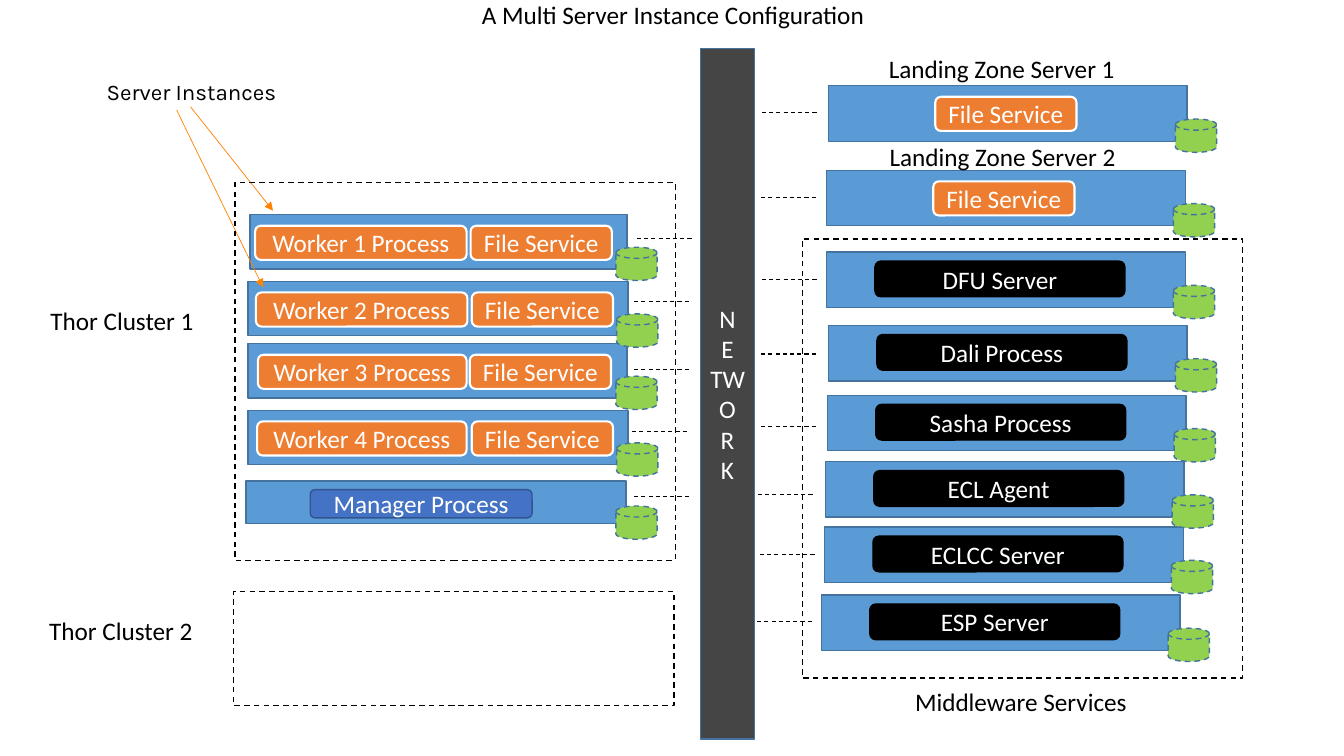
from lxml import etree
from pptx import Presentation
from pptx import util as u
from pptx.dml.color import RGBColor
from pptx.enum import dml, shapes, text
from pptx.oxml.ns import qn

COLOURS = {
    "black": "000000", "white": "FFFFFF", "host": "5B9BD5", "edge": "43739E",
    "service": "ED7D31", "manager": "4472C4", "manager_edge": "325491",
    "network": "454545", "disk": "92D050", "arrow": "FF8200",
}
HOST_WIDTH, HOST_HEIGHT, WORKER_HEIGHT = 9.04, 1.4, 1.37
SERVICE_WIDTH, SERVICE_HEIGHT, SERVICE_DROP = 3.56, 0.86, 0.28
LINK_LENGTH = 1.4

WORKERS = [
    (1, 6.3, 5.41, 9.5, 6.43, 5.33, 11.86, 15.52, 16.05, 6.02),
    (2, 6.25, 7.09, 9.58, 6.45, 5.33, 11.89, 15.54, 15.98, 7.59),
    (3, 6.25, 8.66, 9.55, 6.5, 5.26, 11.84, 15.52, 15.98, 9.32),
    (4, 6.25, 10.34, 9.58, 6.48, 5.28, 11.89, 15.54, 15.93, 10.87),
]
SERVERS = [
    ("File Service", 20.88, 2.16, 19.2, 2.84),
    ("File Service", 20.83, 4.29, 19.18, 4.98),
    ("DFU Server", 20.83, 6.35, 19.2, 7.04),
    ("Dali Process", 20.88, 8.2, 19.18, 8.92),
    ("Sasha Process", 20.85, 9.96, 19.18, 10.74),
    ("ECL Agent", 20.8, 11.63, 19.1, 12.45),
    ("ECLCC Server", 20.78, 13.28, 19.15, 13.97),
    ("ESP Server", 20.7, 14.99, 19.08, 15.65),
]
CAPTIONS = [
    ("Landing Zone Server 1", 22.15, 1.22, 6.27),
    ("Landing Zone Server 2", 22.17, 3.43, 6.27),
    ("Middleware Services", 22.81, 17.17, 5.92),
    ("Thor Cluster 1", 1.02, 7.57, 4.17),
    ("Thor Cluster 2", 0.99, 15.37, 4.17),
]
GROUPS = [
    (5.92, 4.6, 11.1, 9.52),
    (20.22, 6.02, 11.1, 11.07),
    (5.89, 14.91, 11.1, 2.87),
]
ARROWS = [(4.8, 2.69, 6.88, 5.31), (4.45, 2.77, 6.63, 7.24)]


def colour(name):
    return RGBColor.from_string(COLOURS[name])


def write(frame, words, size=18, font="Calibri", ink="black", align=text.PP_ALIGN.LEFT):
    frame.text = words
    for para in frame.paragraphs:
        para.alignment = align
        for span in para.runs:
            span.font.size = u.Pt(size)
            span.font.name = font
            span.font.color.rgb = colour(ink)


class Diagram:
    def __init__(self, deck):
        self.page = deck.slides.add_slide(deck.slide_layouts[5])

    def title(self, words, left, top, width, height):
        box = self.page.shapes.title
        box.left, box.top, box.width, box.height = map(u.Cm, (left, top, width, height))
        frame = box.text_frame
        write(frame, words)
        frame.word_wrap = False
        frame.auto_size = text.MSO_AUTO_SIZE.NONE
        frame.vertical_anchor = text.MSO_ANCHOR.TOP

    def caption(self, words, left, top, width, height=1.02, inset=None, **style):
        box = self.page.shapes.add_textbox(*map(u.Cm, (left, top, width, height)))
        frame = box.text_frame
        frame.word_wrap = False
        if inset is not None:
            frame.margin_left = frame.margin_right = u.Cm(inset)
            frame.margin_top = frame.margin_bottom = u.Cm(inset)
        write(frame, words, **style)

    def shape(self, kind, left, top, width, height, fill=None, line="edge",
              weight=1, dashed=False, words=""):
        box = self.page.shapes.add_shape(kind, *map(u.Cm, (left, top, width, height)))
        box.shadow.inherit = False
        if fill:
            box.fill.solid()
            box.fill.fore_color.rgb = colour(fill)
        else:
            box.fill.background()
        box.line.color.rgb = colour(line)
        box.line.width = u.Pt(weight)
        if dashed:
            box.line.dash_style = dml.MSO_LINE.DASH
        if words:
            box.text_frame.vertical_anchor = text.MSO_ANCHOR.MIDDLE
            write(box.text_frame, words, ink="white", align=text.PP_ALIGN.CENTER)

    def rectangle(self, *place, **style):
        self.shape(shapes.MSO_SHAPE.RECTANGLE, *place, **style)

    def pill(self, words, *place, **style):
        self.shape(shapes.MSO_SHAPE.ROUNDED_RECTANGLE, *place, words=words, **style)

    def service(self, words, left, top, width=SERVICE_WIDTH):
        self.pill(words, left, top, width, SERVICE_HEIGHT,
                  fill="service", line="white", weight=1.5)

    def disk(self, left, top):
        self.shape(shapes.MSO_SHAPE.FLOWCHART_MAGNETIC_DISK, left, top, 1.04, 0.84,
                   fill="disk", dashed=True)

    def connector(self, start_x, start_y, end_x, end_y, ink, weight):
        line = self.page.shapes.add_connector(
            shapes.MSO_CONNECTOR.STRAIGHT, *map(u.Cm, (start_x, start_y, end_x, end_y)))
        line.line.color.rgb = colour(ink)
        line.line.width = u.Pt(weight)
        etree.SubElement(line._element.spPr, qn("a:effectLst"))
        return line

    def link(self, left, top):
        line = self.connector(left, top, left + LINK_LENGTH, top, "black", 0.75)
        line.line.dash_style = dml.MSO_LINE.DASH

    def arrow(self, *ends):
        line = self.connector(*ends, "arrow", 0.5)
        etree.SubElement(line.line._get_or_add_ln(), qn("a:tailEnd"), type="triangle")


def main():
    deck = Presentation()
    deck.slide_width, deck.slide_height = u.Cm(33.87), u.Cm(19.05)
    diagram = Diagram(deck)
    diagram.title("A Multi Server Instance Configuration", 11.89, -0.15, 10.26, 1.02)
    diagram.rectangle(17.65, 1.22, 1.37, 17.4, fill="network", words="N\nE\nTWO\nR\nK")

    diagram.rectangle(6.2, 12.12, 9.58, 1.07, fill="host")
    diagram.pill("Manager Process", 7.82, 12.34, 5.59, 0.71,
                 fill="manager", line="manager_edge")
    diagram.disk(15.52, 12.75)
    diagram.link(15.98, 12.52)

    for (number, left, top, width, process_left, process_width,
         file_left, disk_left, link_left, link_top) in reversed(WORKERS):
        diagram.rectangle(left, top, width, WORKER_HEIGHT, fill="host")
        diagram.service(f"Worker {number} Process", process_left,
                        top + SERVICE_DROP, process_width)
        diagram.service("File Service", file_left, top + SERVICE_DROP)
        diagram.disk(disk_left, top + 0.82)
        diagram.link(link_left, link_top)

    for words, left, top, link_left, link_top in reversed(SERVERS):
        diagram.rectangle(left, top, HOST_WIDTH, HOST_HEIGHT, fill="host")
        if words == "File Service":
            diagram.service(words, left + 2.69, top + SERVICE_DROP)
        else:
            diagram.pill(words, left + 1.22, top + 0.23, 6.3, 0.9,
                         fill="black", line="black")
        diagram.disk(left + 8.74, top + 0.84)
        diagram.link(link_left, link_top)

    for ends in ARROWS:
        diagram.arrow(*ends)
    for place in GROUPS:
        diagram.rectangle(*place, line="black", dashed=True)
    for caption in CAPTIONS:
        diagram.caption(*caption)
    diagram.caption("Server Instances", 2.69, 1.98, 5, 0.7, inset=0,
                    size=16, font="Karla")
    deck.save("out.pptx")


if __name__ == "__main__":
    main()
